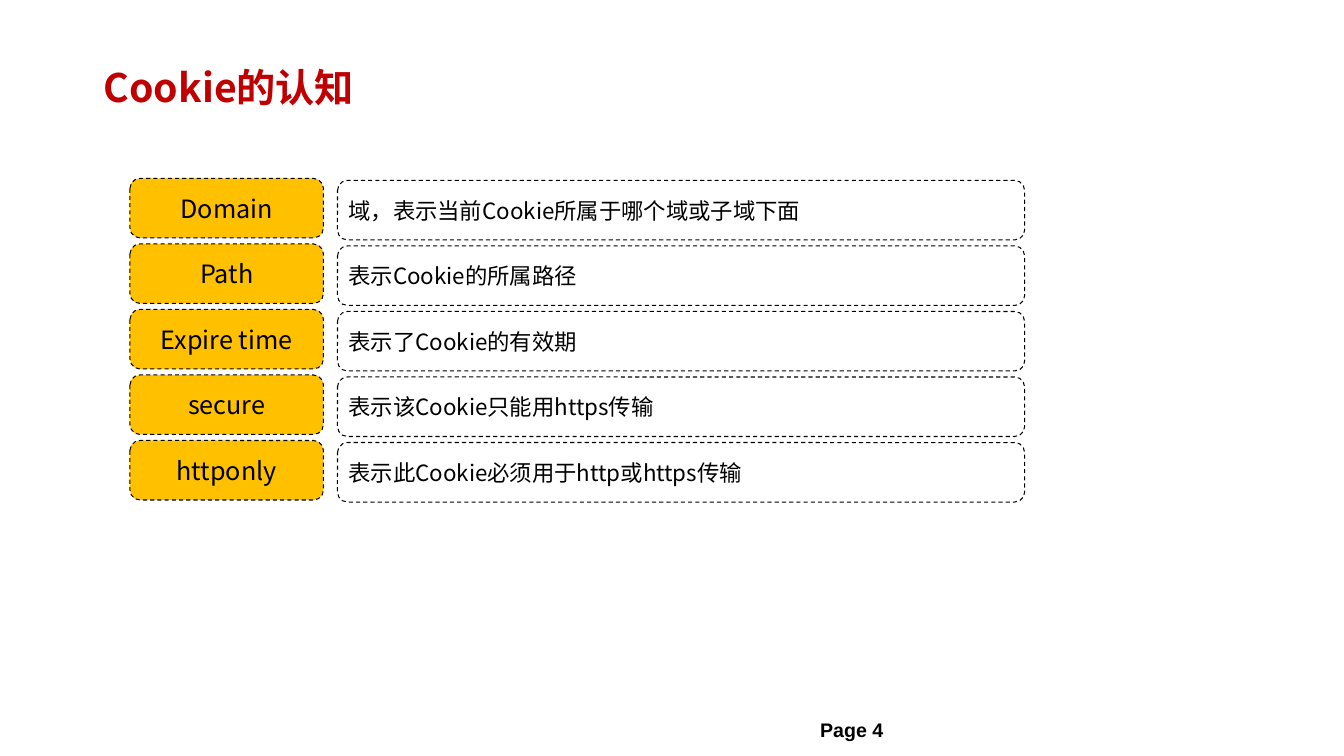
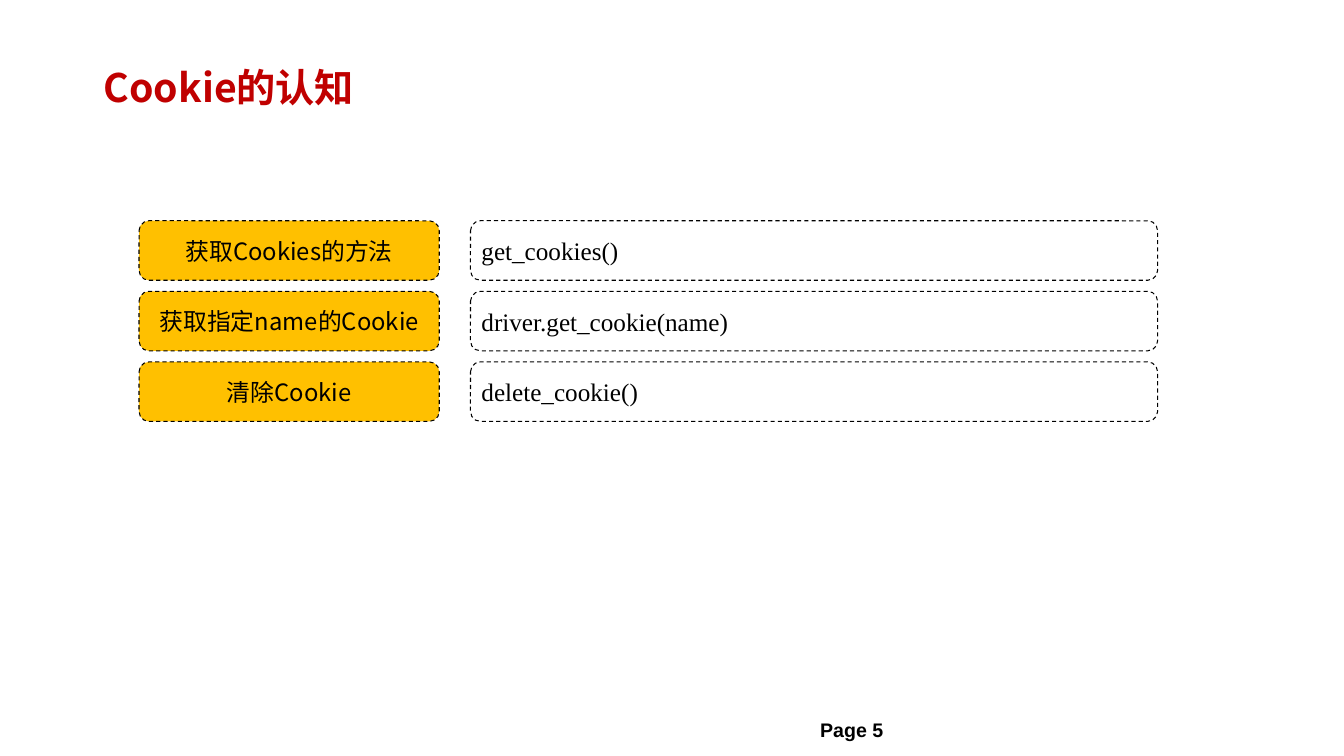
from lxml import etree
from pptx import Presentation
from pptx.dml.color import RGBColor
from pptx.enum.dml import MSO_LINE
from pptx.enum.shapes import MSO_SHAPE
from pptx.enum.text import MSO_ANCHOR, MSO_AUTO_SIZE, PP_ALIGN
from pptx.oxml.ns import qn
from pptx.util import Inches, Pt

ROUNDED = MSO_SHAPE.ROUNDED_RECTANGLE
DASH = MSO_LINE.DASH
TOP, MIDDLE = MSO_ANCHOR.TOP, MSO_ANCHOR.MIDDLE
NO_AUTOFIT = MSO_AUTO_SIZE.NONE
LEFT, CENTER = PP_ALIGN.LEFT, PP_ALIGN.CENTER

RED = RGBColor(0xC0, 0x00, 0x00)
AMBER = RGBColor(0xFF, 0xC0, 0x00)
WHITE = RGBColor(0xFF, 0xFF, 0xFF)
BLACK = RGBColor(0x00, 0x00, 0x00)

CJK_FONT = "Noto Sans CJK SC"
TITLE_ONLY = 5
BOX_HEIGHT = 0.59
DETAIL_WIDTH = 6.82

TITLE_FORMAT = {"name": CJK_FONT, "size": Pt(28), "bold": True}
PAGE_FORMAT = {"name": "Arial", "size": Pt(14), "bold": True}

ATTRIBUTES = {
    "label_format": {"name": CJK_FONT, "size": Pt(18)},
    "detail_format": {"name": CJK_FONT, "size": Pt(16)},
    "label_left": 1.29, "label_width": 1.92, "label_top": 1.77,
    "detail_left": 3.35, "detail_top": 1.79, "pitch": 0.65,
    "rows": [
        ("Domain", "域，表示当前Cookie所属于哪个域或子域下面"),
        ("Path", "表示Cookie的所属路径"),
        ("Expire time", "表示了Cookie的有效期"),
        ("secure", "表示该Cookie只能用https传输"),
        ("httponly", "表示此Cookie必须用于http或https传输"),
    ],
}
METHODS = {
    "label_format": {"name": CJK_FONT, "size": Pt(17)},
    "detail_format": {"name": "Times New Roman", "size": Pt(18)},
    "label_left": 1.38, "label_width": 2.98, "label_top": 2.19,
    "detail_left": 4.67, "detail_top": 2.19, "pitch": 0.7,
    "rows": [
        ("获取Cookies的方法", "get_cookies()"),
        ("获取指定name的Cookie", "driver.get_cookie(name)"),
        ("清除Cookie", "delete_cookie()"),
    ],
}


def write_text(shape, text, font_format, color=BLACK, align=LEFT,
               anchor=MIDDLE, side_margin=0.09):
    frame = shape.text_frame
    frame_format = {
        "word_wrap": True, "auto_size": NO_AUTOFIT, "vertical_anchor": anchor,
        "margin_left": Inches(side_margin), "margin_right": Inches(side_margin),
        "margin_top": Inches(0.04), "margin_bottom": Inches(0.04),
    }
    for name, value in frame_format.items():
        setattr(frame, name, value)
    paragraph = frame.paragraphs[0]
    paragraph.alignment = align
    run = paragraph.add_run()
    run.text = text
    for name, value in font_format.items():
        setattr(run.font, name, value)
    run.font.color.rgb = color
    # Chinese characters take their typeface from a:ea
    east_asian = etree.SubElement(run.font._element, qn("a:ea"))
    east_asian.set("typeface", CJK_FONT)


def add_title_slide(presentation, title_text, page):
    """Add a slide with the shared title style and page number."""
    slide = presentation.slides.add_slide(presentation.slide_layouts[TITLE_ONLY])
    title = slide.shapes.title
    title.left, title.top = Inches(0.94), Inches(0.39)
    title.width, title.height = Inches(11.27), Inches(0.95)
    write_text(title, title_text, TITLE_FORMAT, RED)
    page_box = slide.shapes.add_textbox(
        Inches(8.05), Inches(7.08), Inches(1.64), Inches(0.32))
    write_text(page_box, f"Page {page}", PAGE_FORMAT, anchor=TOP)
    return slide


def add_dashed_box(slide, left, top, width, fill, text, font_format, align):
    box = slide.shapes.add_shape(
        ROUNDED, Inches(left), Inches(top), Inches(width), Inches(BOX_HEIGHT))
    box.shadow.inherit = False
    box.fill.solid()
    box.fill.fore_color.rgb = fill
    box.line.color.rgb = BLACK
    box.line.width = Pt(0.75)
    box.line.dash_style = DASH
    write_text(box, text, font_format, align=align, side_margin=0.08)


def add_definition_rows(slide, table):
    """Draw one amber label and one white detail box per row."""
    for index, (label, detail) in enumerate(table["rows"]):
        offset = index * table["pitch"]
        add_dashed_box(slide, table["label_left"], table["label_top"] + offset,
                       table["label_width"], AMBER, label,
                       table["label_format"], CENTER)
        add_dashed_box(slide, table["detail_left"], table["detail_top"] + offset,
                       DETAIL_WIDTH, WHITE, detail,
                       table["detail_format"], LEFT)


def main():
    presentation = Presentation()
    presentation.slide_width = Inches(13.34)
    presentation.slide_height = Inches(7.5)
    for page, table in enumerate((ATTRIBUTES, METHODS), start=4):
        slide = add_title_slide(presentation, "Cookie的认知", page)
        add_definition_rows(slide, table)
    presentation.save("out.pptx")


if __name__ == "__main__":
    main()
